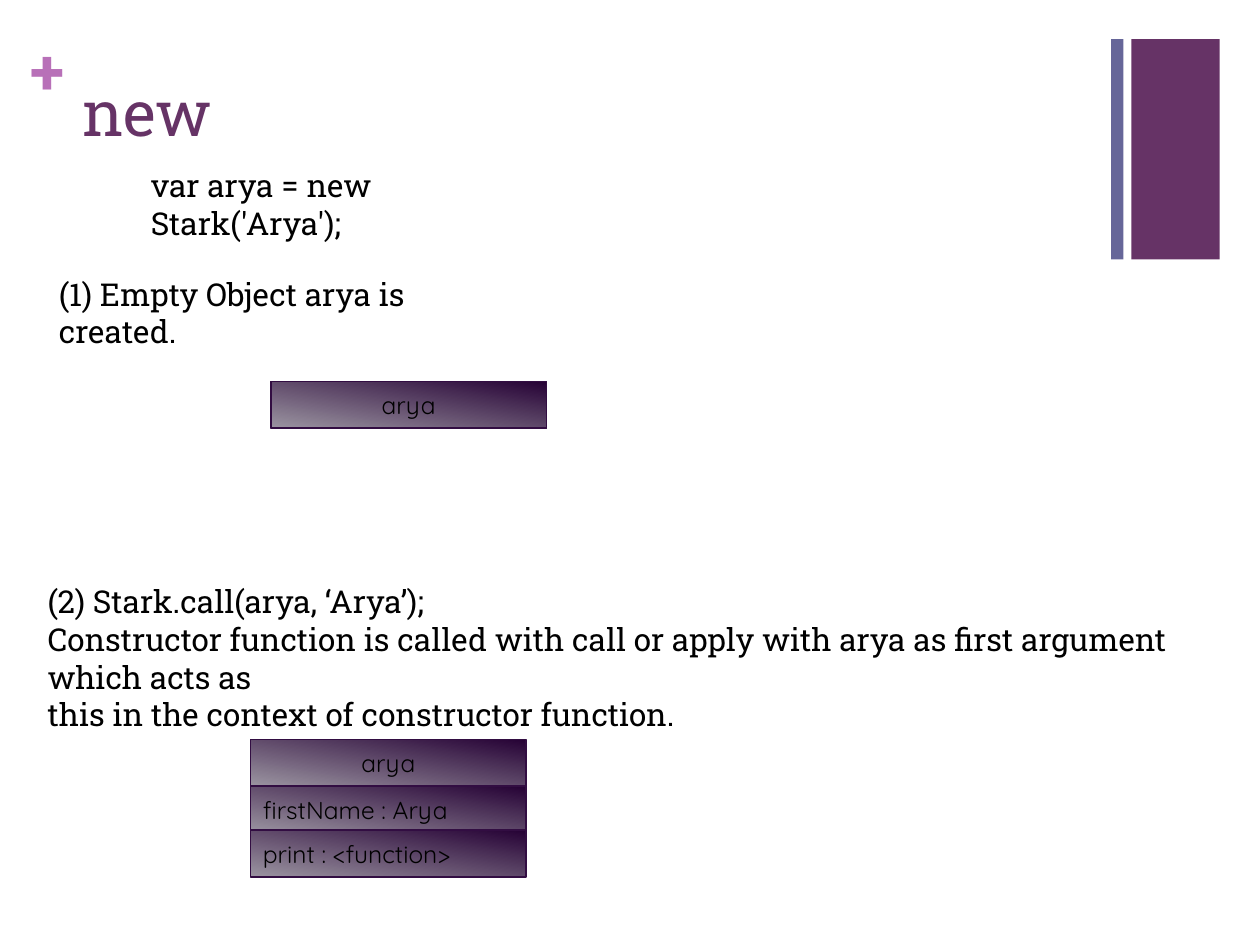
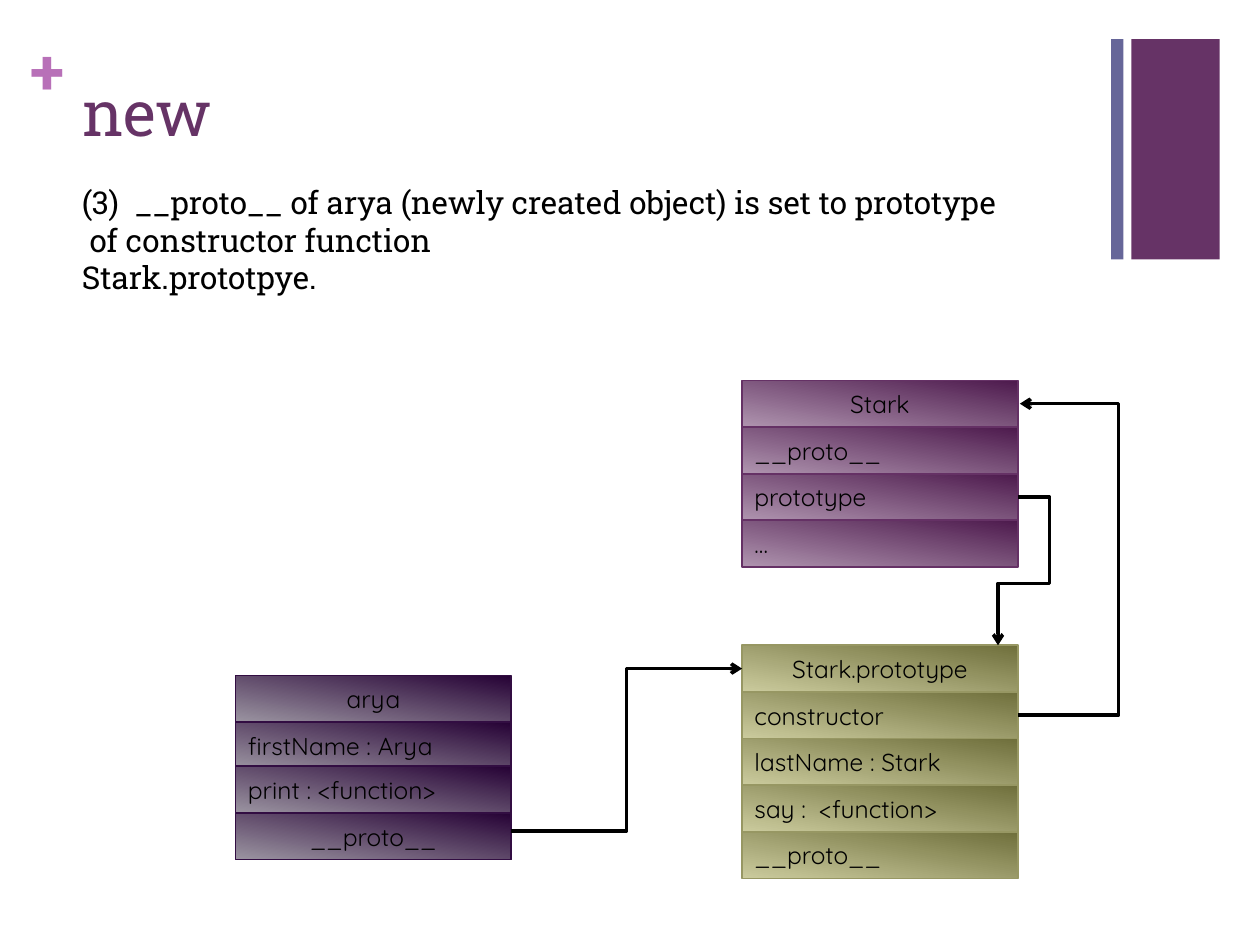
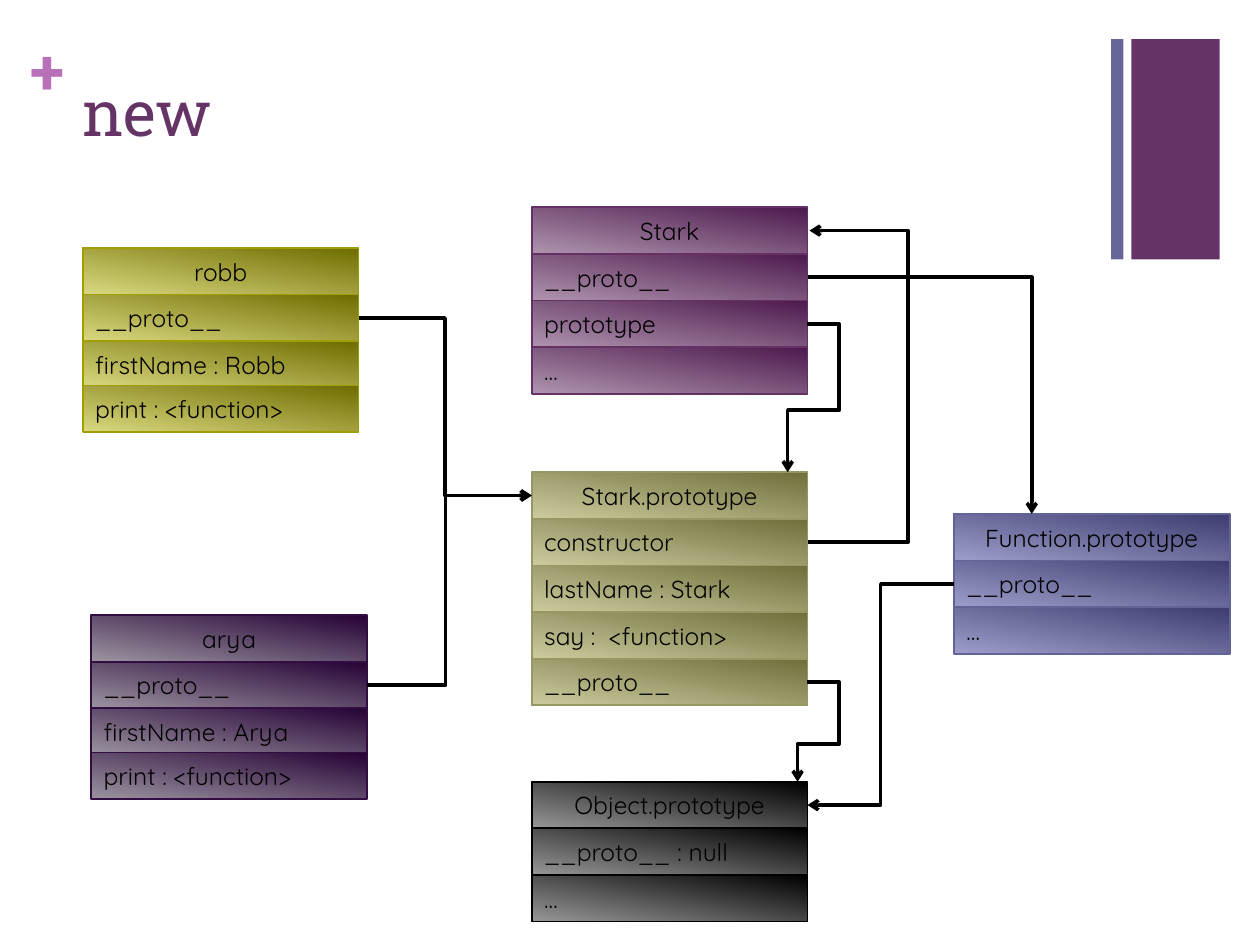
from dataclasses import dataclass

from lxml import etree
from pptx import Presentation
from pptx.dml.color import RGBColor
from pptx.enum.shapes import MSO_CONNECTOR, MSO_SHAPE
from pptx.enum.text import MSO_ANCHOR, MSO_AUTO_SIZE, PP_ALIGN
from pptx.oxml.ns import qn
from pptx.util import Cm, Pt

RECT = MSO_SHAPE.RECTANGLE
ELBOW = MSO_CONNECTOR.ELBOW
TOP, MIDDLE = MSO_ANCHOR.TOP, MSO_ANCHOR.MIDDLE
LEFT, CENTER = PP_ALIGN.LEFT, PP_ALIGN.CENTER
NO_FIT = MSO_AUTO_SIZE.NONE


@dataclass(frozen=True)
class Theme:
    text_font: str = "Roboto Slab"
    record_font: str = "Quicksand"
    title_size: int = 36
    text_size: int = 18
    record_size: int = 14
    title: str = "663366"
    plus: str = "B870B8"
    stripe: str = "666699"
    ink: str = "000000"
    arya: tuple = ("260235", "9B94A1", "320D42")
    robb: tuple = ("6E6D00", "DBD980", "A09E00")
    stark: tuple = ("4D1A4D", "AF94AF", "653165")
    stark_proto: tuple = ("6F6F3C", "CBCB9D", "979763")
    function_proto: tuple = ("3C3C6F", "9D9DCB", "636397")
    object_proto: tuple = ("000000", "979797", "000000")


T = Theme()
ROW_W, ROW_H = 5.56, 0.94
PRINT_OVERLAP = 0.05


def rgb(value):
    return RGBColor.from_string(value)


def write(tf, text, font, size, color, align=LEFT, bold=False):
    tf.text = text
    for p in tf.paragraphs:
        p.alignment = align
        for r in p.runs:
            r.font.name = font
            r.font.size = Pt(size)
            r.font.color.rgb = rgb(color)
            r.font.bold = bold


def add_text(slide, x, y, w, h, text):
    tf = slide.shapes.add_textbox(Cm(x), Cm(y), Cm(w), Cm(h)).text_frame
    tf.word_wrap = True
    write(tf, text, T.text_font, T.text_size, T.ink)


def add_band(slide, x, w, color):
    sp = slide.shapes.add_shape(RECT, Cm(x), Cm(0.79), Cm(w), Cm(4.44))
    sp.shadow.inherit = False
    sp.fill.solid()
    sp.fill.fore_color.rgb = rgb(color)
    sp.line.fill.background()
    return sp


def dress_layout(slide):
    plus = slide.shapes.add_textbox(Cm(0.61), Cm(0.64), Cm(0.74), Cm(1.55))
    tf = plus.text_frame
    tf.margin_left = tf.margin_right = tf.margin_top = tf.margin_bottom = 0
    write(tf, "+", T.text_font, T.title_size, T.plus, bold=True)
    bands = [add_band(slide, 22.81, 1.78, T.title),
             add_band(slide, 22.4, 0.25, T.stripe)]
    for sp in [plus] + bands:
        slide.slide_layout.shapes.element.append(sp.element)


def add_slide(prs, title):
    slide = prs.slides.add_slide(prs.slide_layouts[5])
    sp = slide.shapes.title
    sp.left, sp.top, sp.width, sp.height = Cm(1.4), Cm(1.35), Cm(20.98), Cm(3.1)
    tf = sp.text_frame
    tf.auto_size = NO_FIT
    tf.vertical_anchor = TOP
    write(tf, title, T.text_font, T.title_size, T.title)
    return slide


def add_row(slide, x, y, text, colors, align):
    dark, light, edge = colors
    sp = slide.shapes.add_shape(RECT, Cm(x), Cm(y), Cm(ROW_W), Cm(ROW_H))
    sp.shadow.inherit = False
    sp.fill.gradient()
    sp.fill.gradient_angle = 260
    for stop, color in zip(sp.fill.gradient_stops, (dark, light)):
        stop.color.rgb = rgb(color)
    sp.line.color.rgb = rgb(edge)
    sp.line.width = Pt(1)
    sp.text_frame.vertical_anchor = MIDDLE
    write(sp.text_frame, text, T.record_font, T.record_size, T.ink, align)
    return sp


def add_record(slide, x, y, colors, texts, centred=(0,)):
    rows = []
    for i, text in enumerate(texts):
        if text.startswith("print"):
            y -= PRINT_OVERLAP
        align = CENTER if i in centred else LEFT
        rows.append(add_row(slide, x, y + i * ROW_H, text, colors, align))
    return rows


def left_of(sp):
    return sp.left, sp.top + sp.height // 2


def right_of(sp, dx=0.0, dy=0.0):
    return sp.left + sp.width + Cm(dx), sp.top + sp.height // 2 + Cm(dy)


def top_of(sp, dx):
    return sp.left + Cm(dx), sp.top


def add_elbow(slide, start, end, preset="bentConnector3", bends=()):
    cx = slide.shapes.add_connector(ELBOW, *start, *end)
    cx.line.color.rgb = rgb(T.ink)
    cx.line.width = Pt(2)
    sp_pr = cx.element.spPr
    etree.SubElement(sp_pr.find(qn("a:ln")), qn("a:tailEnd"), type="arrow")
    etree.SubElement(sp_pr, qn("a:effectLst"))
    geom = sp_pr.find(qn("a:prstGeom"))
    geom.set("prst", preset)
    guides = geom.find(qn("a:avLst"))
    if guides is None:
        guides = etree.SubElement(geom, qn("a:avLst"))
    for i, bend in enumerate(bends):
        share = round(100000 * Cm(bend) / (end[i] - start[i]))
        name = f"adj{i + 1}" if len(bends) > 1 else "adj1"
        etree.SubElement(guides, qn("a:gd"), name=name, fmla=f"val {share}")


def add_stark_pair(slide, x, y):
    stark = add_record(slide, x, y, T.stark,
                       ["Stark", "__proto__", "prototype", "…"])
    proto = add_record(slide, x, y + 5.34, T.stark_proto,
                       ["Stark.prototype", "constructor", "lastName : Stark",
                        "say :  <function>", "__proto__"])
    add_elbow(slide, right_of(stark[2]), top_of(proto[0], 5.16),
              "bentConnector4", (0.64, 1.74))
    add_elbow(slide, right_of(proto[1]), right_of(stark[0], 0.04), bends=(2.03,))
    return stark, proto


def build_creation(slide):
    add_text(slide, 2.79, 3.23, 7.85, 1.02, "var arya = new Stark('Arya');")
    add_text(slide, 0.94, 5.41, 9.02, 1.02, "(1) Empty Object arya is created.")
    add_record(slide, 5.46, 7.69, T.arya, ["arya"])
    add_text(slide, 0.71, 11.61, 23.47, 2.57,
             "(2) Stark.call(arya, ‘Arya’);\n"
             "Constructor function is called with call or apply with arya "
             "as first argument which acts as\n"
             "this in the context of constructor function.")
    add_record(slide, 5.05, 14.91, T.arya,
               ["arya", "firstName : Arya", "print : <function>"])


def build_linking(slide):
    _, proto = add_stark_pair(slide, 14.96, 7.67)
    arya = add_record(slide, 4.75, 13.62, T.arya,
                      ["arya", "firstName : Arya", "print : <function>",
                       "__proto__"], centred=(0, 3))
    add_elbow(slide, right_of(arya[3], dy=-0.11), left_of(proto[0]))
    add_text(slide, 1.4, 3.56, 18.95, 2.57,
             "(3)  __proto__ of arya (newly created object) is set to prototype\n"
             " of constructor function\n"
             "Stark.prototpye.")


def build_chain(slide):
    stark, proto = add_stark_pair(slide, 10.72, 4.18)
    root = add_record(slide, 10.72, 15.76, T.object_proto,
                      ["Object.prototype", "__proto__ : null", "…"])
    function = add_record(slide, 19.23, 10.36, T.function_proto,
                          ["Function.prototype", "__proto__", "…"])
    add_elbow(slide, right_of(stark[1]), top_of(function[0], 1.57),
              "bentConnector2")
    add_elbow(slide, left_of(function[1]), right_of(root[0]))
    add_elbow(slide, right_of(proto[4]), top_of(root[0], 5.36),
              "bentConnector4", (0.64, 1.25))
    for x, y, colors, name, bend in ((1.67, 5.0, T.robb, "robb", 1.74),
                                     (1.84, 12.4, T.arya, "arya", 1.58)):
        rows = add_record(slide, x, y, colors,
                          [name, "__proto__", f"firstName : {name.title()}",
                           "print : <function>"])
        add_elbow(slide, right_of(rows[1]), left_of(proto[0]), bends=(bend,))


prs = Presentation()
prs.slide_width, prs.slide_height = Cm(25.4), Cm(19.05)
for i, build in enumerate((build_creation, build_linking, build_chain)):
    slide = add_slide(prs, "new")
    if i == 0:
        dress_layout(slide)
    build(slide)
prs.save("out.pptx")
